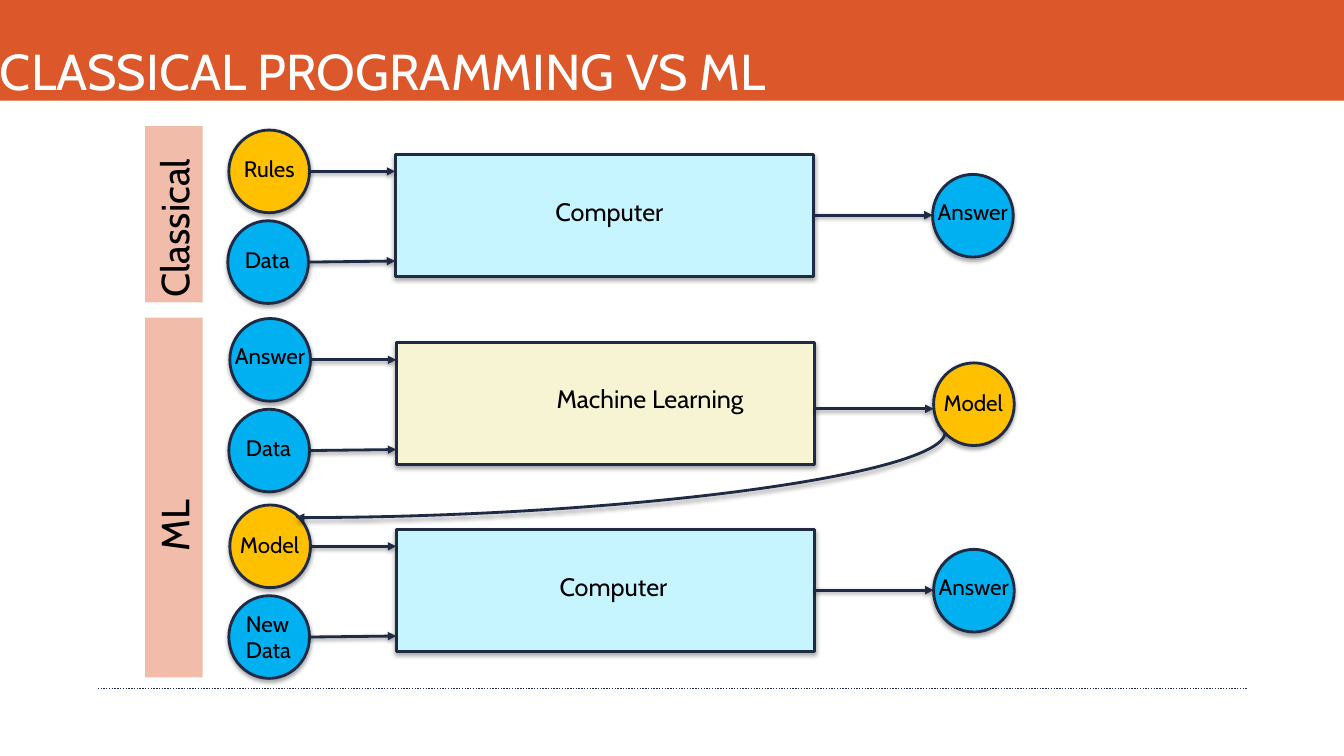
from collections import namedtuple

from lxml import etree
from pptx import Presentation
from pptx.dml.color import RGBColor
from pptx.enum.dml import MSO_LINE
from pptx.enum.shapes import MSO_CONNECTOR, MSO_SHAPE
from pptx.enum.text import MSO_ANCHOR, MSO_AUTO_SIZE, PP_ALIGN
from pptx.oxml.ns import qn
from pptx.util import Inches, Pt

RECTANGLE = MSO_SHAPE.RECTANGLE
OVAL = MSO_SHAPE.OVAL
STRAIGHT = MSO_CONNECTOR.STRAIGHT
CURVE = MSO_CONNECTOR.CURVE
ROUND_DOT = MSO_LINE.ROUND_DOT
TOP = MSO_ANCHOR.TOP
BOTTOM = MSO_ANCHOR.BOTTOM
LEFT = PP_ALIGN.LEFT
FIT_SHAPE = MSO_AUTO_SIZE.SHAPE_TO_FIT_TEXT

ORANGE = RGBColor(0xDC, 0x58, 0x2A)
NAVY = RGBColor(0x1F, 0x2A, 0x44)
GOLD = RGBColor(0xFF, 0xC0, 0x00)
BLUE = RGBColor(0x00, 0xB0, 0xF0)
PALE_BLUE = RGBColor(0xC6, 0xF4, 0xFF)
CREAM = RGBColor(0xF7, 0xF4, 0xD3)
PINK = RGBColor(0xF1, 0xBC, 0xAA)
WHITE = RGBColor(0xFF, 0xFF, 0xFF)
BLACK = RGBColor(0x00, 0x00, 0x00)

FONT = "Cabin"
NODE_WIDTH, NODE_HEIGHT = 0.8, 0.82
ENGINE_WIDTH, ENGINE_HEIGHT = 4.15, 1.21

NodeStyle = namedtuple("NodeStyle", "fill text_dx text_dy text_width text_height")
NODE_STYLES = {
    "Rules": NodeStyle(GOLD, 0.1, 0.2, 0.67, 0.37),
    "Data": NodeStyle(BLUE, 0.12, 0.2, 0.67, 0.37),
    "Answer": NodeStyle(BLUE, 0, 0.19, 0.93, 0.37),
    "Model": NodeStyle(GOLD, 0.05, 0.21, 0.93, 0.37),
    "New Data": NodeStyle(BLUE, 0.12, 0.09, 0.67, 0.64),
}

Flow = namedtuple(
    "Flow", "left top inputs engine fill text_left text_top output exit_drop"
)
FLOWS = [
    Flow(2.27, 1.29, ("Rules", "Data"), "Computer", PALE_BLUE, 5.46, 1.9, "Answer", 0),
    Flow(2.28, 3.16, ("Answer", "Data"), "Machine Learning", CREAM, 5.47, 3.75, "Model", 0.05),
    Flow(2.28, 5.01, ("Model", "New Data"), "Computer", PALE_BLUE, 5.5, 5.62, "Answer", 0),
]


def add_shadow(effects, opacity, distance):
    shadow = etree.SubElement(
        effects, qn("a:outerShdw"), blurRad=str(Pt(3)), dist=str(Pt(distance)),
        dir="5400000", rotWithShape="0",
    )
    color = etree.SubElement(shadow, qn("a:srgbClr"), val=str(BLACK))
    etree.SubElement(color, qn("a:alpha"), val=str(opacity * 1000))


def write(box, text, size, color=BLACK, inset=0.05, left_inset=0.05, anchor=TOP):
    frame = box.text_frame
    frame.word_wrap = True
    frame.vertical_anchor = anchor
    frame.margin_left = Inches(left_inset)
    frame.margin_top = frame.margin_right = frame.margin_bottom = Inches(inset)
    para = frame.paragraphs[0]
    para.alignment = LEFT
    span = para.add_run()
    span.text = text
    span.font.name = FONT
    span.font.size = Pt(size)
    span.font.color.rgb = color


def add_label(page, left, top, width, height, text, size):
    box = page.shapes.add_textbox(
        Inches(left), Inches(top), Inches(width), Inches(height)
    )
    write(box, text, size)
    box.text_frame.auto_size = FIT_SHAPE


def add_panel(page, kind, left, top, width, height, fill):
    panel = page.shapes.add_shape(
        kind, Inches(left), Inches(top), Inches(width), Inches(height)
    )
    panel.fill.solid()
    panel.fill.fore_color.rgb = fill
    panel.line.fill.background()
    panel.shadow.inherit = False
    return panel


def add_outlined(page, kind, left, top, width, height, fill):
    panel = add_panel(page, kind, left, top, width, height, fill)
    panel.line.color.rgb = NAVY
    panel.line.width = Pt(2)
    add_shadow(panel._element.spPr.find(qn("a:effectLst")), 35, 1.8)
    return panel


def add_node(page, left, top, text):
    style = NODE_STYLES[text]
    add_outlined(page, OVAL, left, top, NODE_WIDTH, NODE_HEIGHT, style.fill)
    add_label(
        page, left + style.text_dx, top + style.text_dy,
        style.text_width, style.text_height, text, 16,
    )


def add_line(page, kind, start, end, width):
    line = page.shapes.add_connector(kind, *map(Inches, start + end))
    line.line.color.rgb = NAVY
    line.line.width = Pt(width)
    etree.SubElement(line._element.spPr, qn("a:effectLst"))
    return line


def add_arrow(page, start, end, kind=STRAIGHT):
    arrow = add_line(page, kind, start, end, 2)
    properties = arrow._element.spPr
    etree.SubElement(properties.find(qn("a:ln")), qn("a:tailEnd"), type="triangle")
    add_shadow(properties.find(qn("a:effectLst")), 38, 1.6)
    return arrow


def add_feedback(page):
    arrow = add_arrow(page, (5.73, 1.49), (6.58, 7.93), CURVE)
    properties = arrow._element.spPr
    properties.find(qn("a:xfrm")).set("rot", "5400000")
    properties.find(qn("a:prstGeom")).set("prst", "curvedConnector2")


def add_flow(page, flow):
    engine_left = flow.left + 1.65
    engine_top = flow.top + 0.24
    engine = add_outlined(
        page, RECTANGLE, engine_left, engine_top, ENGINE_WIDTH, ENGINE_HEIGHT, flow.fill
    )
    add_label(page, flow.text_left, flow.text_top, 3.06, 0.4, flow.engine, 18)

    for index, text in enumerate(flow.inputs):
        left = flow.left - 0.01 * index
        top = flow.top + 0.9 * index
        add_node(page, left, top, text)
        start_y = top + NODE_HEIGHT / 2
        add_arrow(
            page, (left + NODE_WIDTH, start_y), (engine_left, start_y - 0.01 * index)
        )

    output_left = flow.left + 6.98
    add_node(page, output_left, flow.top + 0.44, flow.output)
    exit_y = engine_top + ENGINE_HEIGHT / 2 + flow.exit_drop
    arrow = add_arrow(
        page, (engine_left + ENGINE_WIDTH, exit_y), (output_left, exit_y)
    )
    if not flow.exit_drop:
        arrow.begin_connect(engine, 3)


def add_side_label(page, left, top, length, text, left_inset):
    panel = add_panel(page, RECTANGLE, left, top, length, 0.57, PINK)
    panel.rotation = 270
    write(panel, text, 28, left_inset=left_inset)


def main():
    deck = Presentation()
    deck.slide_width = Inches(13.33)
    deck.slide_height = Inches(7.5)
    page = deck.slides.add_slide(deck.slide_layouts[6])

    footer = add_line(page, STRAIGHT, (0.97, 6.83), (12.37, 6.83), 1)
    footer.line.dash_style = ROUND_DOT
    title = add_panel(page, RECTANGLE, 0, 0, 13.33, 1, ORANGE)
    write(title, "CLASSICAL PROGRAMMING VS ML", 36, WHITE, 0, 0, BOTTOM)

    for flow in FLOWS:
        add_flow(page, flow)
    add_feedback(page)
    add_side_label(page, 0.85, 1.84, 1.75, "Classical", 0.05)
    add_side_label(page, -0.06, 4.65, 3.57, "ML", 1.25)

    deck.save("out.pptx")


if __name__ == "__main__":
    main()
